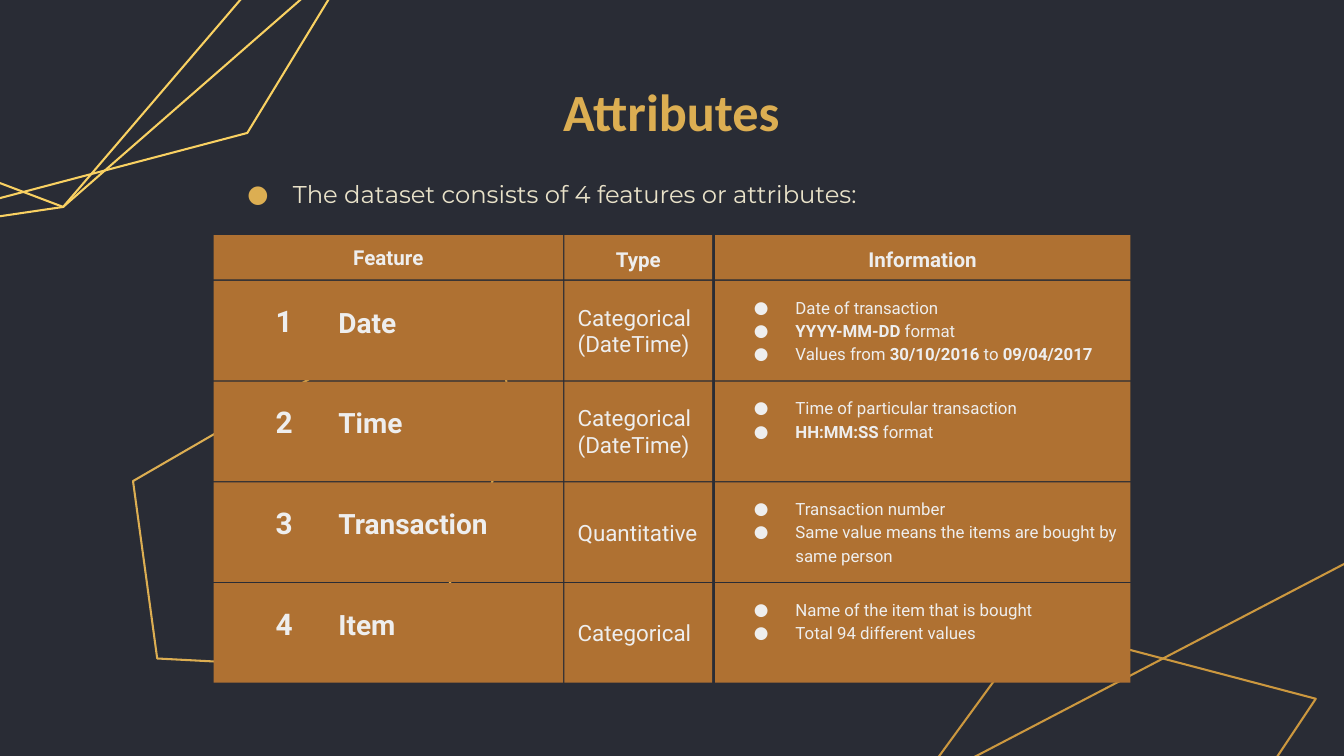
import dataclasses

import lxml.etree
import pptx
import pptx.dml.color
import pptx.enum.shapes
import pptx.enum.text
import pptx.oxml.ns
import pptx.util

Inches = pptx.util.Inches
Pt = pptx.util.Pt
RGB = pptx.dml.color.RGBColor.from_string
ALIGN = pptx.enum.text.PP_ALIGN
ANCHOR = pptx.enum.text.MSO_ANCHOR
qn = pptx.oxml.ns.qn


@dataclasses.dataclass
class Theme:
    background: str = "292C35"
    gold: str = "DCAE52"
    bright: str = "F9D162"
    bronze: str = "CC983F"
    cell: str = "AF7132"
    cream: str = "E9E2C9"
    white: str = "EEEEEE"
    font: str = "Roboto"
    title_font: str = "Calibri"
    body_font: str = "Montserrat"
    title: int = 28
    body: int = 13
    header: int = 11
    number: int = 16
    name: int = 15
    kind: int = 12
    info: int = 9
    line: float = 1.1


theme = Theme()


def write(tf, paragraphs, size, color=theme.white, font=theme.font, align=ALIGN.LEFT,
          anchor=ANCHOR.MIDDLE, spacing=1.0, indent=None, bullet_color=theme.white):
    tf.word_wrap = True
    tf.auto_size = pptx.enum.text.MSO_AUTO_SIZE.NONE
    tf.vertical_anchor = anchor
    tf.margin_left = tf.margin_right = tf.margin_top = tf.margin_bottom = Inches(0.1)
    for i, runs in enumerate(paragraphs):
        p = tf.add_paragraph() if i else tf.paragraphs[0]
        p.alignment = align
        p.line_spacing = spacing
        p.space_before = p.space_after = Pt(0)
        if indent:
            pPr = p._p.get_or_add_pPr()
            pPr.set("marL", str(Inches(0.5)))
            pPr.set("indent", str(Inches(indent)))
            clr = lxml.etree.SubElement(pPr, qn("a:buClr"))
            lxml.etree.SubElement(clr, qn("a:srgbClr"), val=bullet_color)
            lxml.etree.SubElement(pPr, qn("a:buFont"), typeface=font)
            lxml.etree.SubElement(pPr, qn("a:buChar"), char="●")
        for text, bold in runs:
            r = p.add_run()
            r.text = text
            r.font.name = font
            r.font.size = Pt(size)
            r.font.bold = bold
            r.font.color.rgb = RGB(color)


def add_cell(s, left, top, width, height):
    sp = s.shapes.add_shape(pptx.enum.shapes.MSO_SHAPE.RECTANGLE, Inches(left),
                            Inches(top), Inches(width), Inches(height))
    sp.shadow.inherit = False
    sp.fill.solid()
    sp.fill.fore_color.rgb = RGB(theme.cell)
    sp.line.fill.background()
    return sp.text_frame


prs = pptx.Presentation()
prs.slide_width = Inches(10)
prs.slide_height = Inches(10 * 9 / 16)
s = prs.slides.add_slide(prs.slide_layouts[1])
s.background.fill.solid()
s.background.fill.fore_color.rgb = RGB(theme.background)

outlines = [
    (theme.gold, [(1.17, 4.9), (0.99, 3.58), (2.7, 2.59), (3.73, 2.57), (3.82, 3.21), (3.07, 5)]),
    (theme.bronze, [(6.43, 8.51), (5.57, 7.57), (7.7, 4.65), (9.79, 5.2), (8.05, 7.81)]),
    (theme.bronze, [(8.78, 8.48), (6.68, 5.93), (10.32, 4.03), (10.63, 5.73)]),
    (theme.bright, [(-1.7, 0.72), (-1.42, -0.88), (0.94, -1.4), (2.15, -1.04), (2.01, -0.26),
                    (0.47, 1.54)]),
    (theme.bright, [(-1.16, 1.78), (-1.7, 0.71), (0.94, -1.4), (2.68, -0.39), (0.47, 1.54)]),
    (theme.bright, [(-1.16, 1.78), (-1.04, -1.32), (2.68, -0.39), (1.84, 0.99)]),
]
for color, points in outlines:
    corners = [(Inches(x), Inches(y)) for x, y in points]
    builder = s.shapes.build_freeform(*corners[0])
    builder.add_line_segments(corners[1:], close=True)
    sp = builder.convert_to_shape()
    sp.shadow.inherit = False
    sp.fill.background()
    sp.line.color.rgb = RGB(color)
    sp.line.width = Pt(theme.line)

title, body = s.placeholders
for sp, box in [(title, (2.18, 0.59, 5.63, 0.47)), (body, (1.58, 1.15, 6.83, 0.59))]:
    sp.left, sp.top, sp.width, sp.height = [Inches(v) for v in box]
write(title.text_frame, [[("Attributes", True)]], theme.title, theme.gold,
      theme.title_font, ALIGN.CENTER)
write(body.text_frame, [[("The dataset consists of 4 features or attributes:", False)]],
      theme.body, theme.cream, theme.body_font, indent=-0.34, bullet_color=theme.gold)

columns = [("Feature", 1.59, 2.6, 1.0), ("Type", 4.2, 1.1, 1.15), ("Information", 5.32, 3.09, 1.15)]
for heading, left, width, spacing in columns:
    write(add_cell(s, left, 1.75, width, 0.33), [[(heading, True)]], theme.header,
          align=ALIGN.CENTER, spacing=spacing)

features = [
    ("Date", ["Categorical", "(DateTime)"], [
        [("Date of transaction", False)],
        [("YYYY-MM-DD", True), (" format", False)],
        [("Values from ", False), ("30/10/2016 ", True), ("to", False), (" 09/04/2017", True)]]),
    ("Time", ["Categorical", "(DateTime)"], [
        [("Time of particular transaction", False)],
        [("HH:MM:SS", True), (" format", False)]]),
    ("Transaction", ["Quantitative"], [
        [("Transaction number", False)],
        [("Same value means the items are bought by same person", False)]]),
    ("Item", ["Categorical"], [
        [("Name of the item that is bought", False)],
        [("Total 94 different values", False)]]),
]
for i, (name, kind, info) in enumerate(features):
    top = 2.09 + 0.75 * i
    feature_tf, kind_tf, info_tf = [add_cell(s, left, top, width, 0.74)
                                    for heading, left, width, spacing in columns]
    write(info_tf, info, theme.info, anchor=ANCHOR.TOP, spacing=1.15, indent=-0.31)
    write(kind_tf, [[(text, False)] for text in kind], theme.kind)
    write(add_cell(s, 1.88, top + 0.08, 0.47, 0.45), [[(str(i + 1), True)]], theme.number,
          align=ALIGN.CENTER, anchor=ANCHOR.BOTTOM)
    write(add_cell(s, 2.42, top + 0.08, 1.63, 0.63), [[(name, True)]], theme.name,
          anchor=ANCHOR.TOP)

prs.save("out.pptx")
